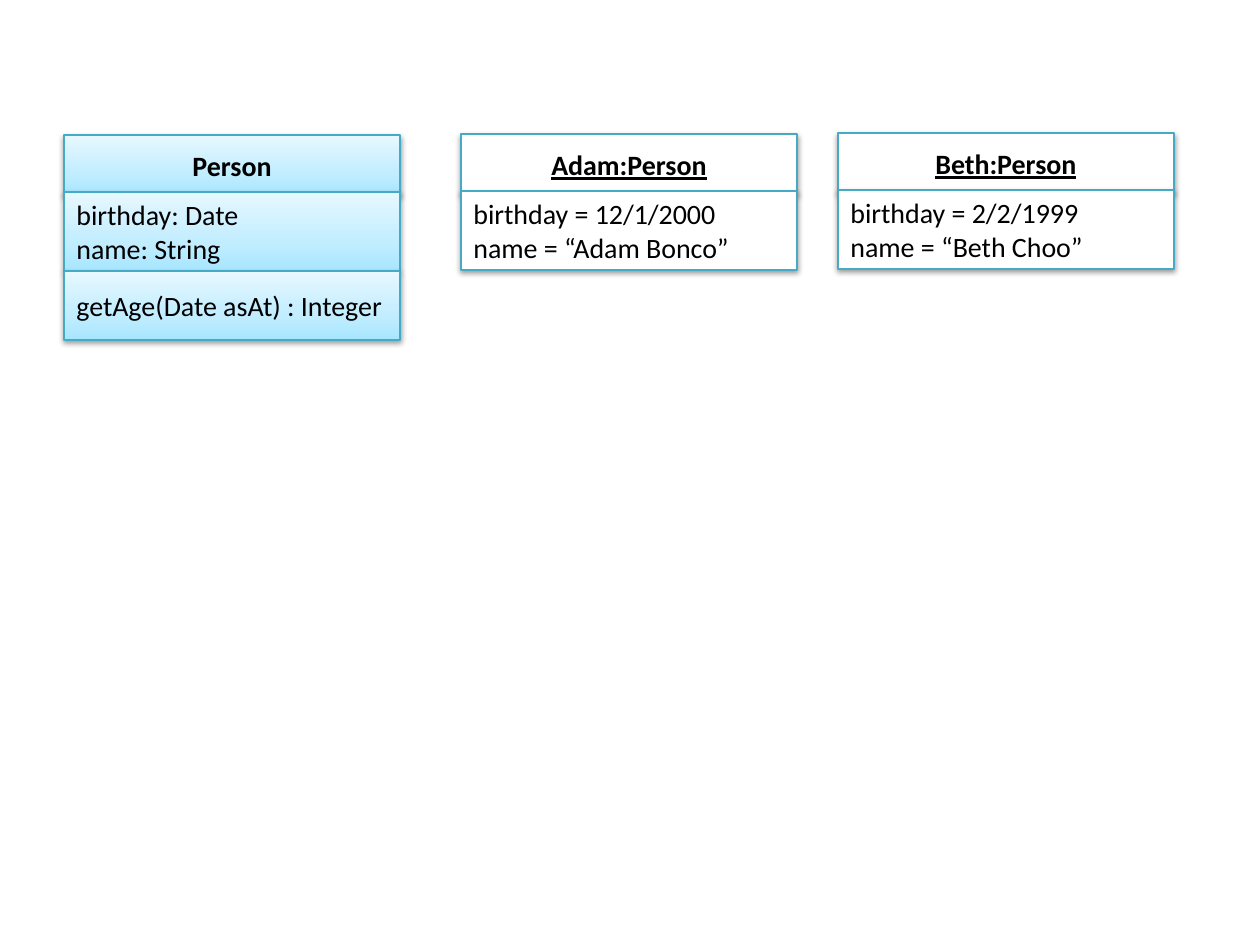
from dataclasses import dataclass
from lxml.etree import SubElement
from pptx import Presentation
from pptx.dml.color import RGBColor as RGB
from pptx.enum.shapes import MSO_SHAPE as SHAPE
from pptx.enum.text import MSO_ANCHOR as ANCHOR, PP_ALIGN as ALIGN
from pptx.oxml.ns import qn
from pptx.util import Emu, Pt


@dataclass(frozen=True)
class Theme:
    font: str = "Calibri"
    size: int = 16
    text: str = "000000"
    line: str = "46AAC5"
    plain: str = "FFFFFF"
    shadow: str = "000000"
    gradient: tuple = ((0, "A7E6FF"), (35, "C1EDFF"), (100, "E7F8FF"))


class Diagram:
    PX = 914400 / 126
    WIDTH = 336
    HEADER = (0, 60)
    ATTRIBUTES = (57, 79)
    OPERATIONS = (136, 69)

    def __init__(self, prs, theme):
        self.theme = theme
        prs.slide_width, prs.slide_height = self.px(1260), self.px(945)
        self.slide = prs.slides.add_slide(prs.slide_layouts[6])

    def px(self, n):
        return Emu(round(n * self.PX))

    def gradient(self, sp):
        sp.fill.gradient()
        sp.fill.gradient_angle = 90
        stops = sp._element.spPr.find(qn("a:gradFill")).find(qn("a:gsLst"))
        for stop in list(stops):
            stops.remove(stop)
        for pos, color in self.theme.gradient:
            stop = SubElement(stops, qn("a:gs"), pos=str(pos * 1000))
            SubElement(stop, qn("a:srgbClr"), val=color)

    def shadow(self, sp):
        sp.shadow.inherit = False
        effects = sp._element.spPr.find(qn("a:effectLst"))
        outer = SubElement(effects, qn("a:outerShdw"), blurRad="40000",
                           dist="20000", dir="5400000", rotWithShape="0")
        color = SubElement(outer, qn("a:srgbClr"), val=self.theme.shadow)
        SubElement(color, qn("a:alpha"), val="38000")

    def compartment(self, x, y, part, lines, shaded, header=False, underline=False):
        offset, height = part
        box = map(self.px, (x, y + offset, self.WIDTH, height))
        sp = self.slide.shapes.add_shape(SHAPE.RECTANGLE, *box)
        if shaded:
            self.gradient(sp)
        else:
            sp.fill.solid()
            sp.fill.fore_color.rgb = RGB.from_string(self.theme.plain)
        sp.line.color.rgb = RGB.from_string(self.theme.line)
        sp.line.width = Pt(0.75)
        self.shadow(sp)
        tf = sp.text_frame
        tf.word_wrap = False
        tf.vertical_anchor = ANCHOR.MIDDLE
        tf.text = "\n".join(lines)
        for p in tf.paragraphs:
            p.alignment = ALIGN.CENTER if header else ALIGN.LEFT
            for r in p.runs:
                r.font.name = self.theme.font
                r.font.size = Pt(self.theme.size)
                r.font.color.rgb = RGB.from_string(self.theme.text)
                r.font.bold = header
                r.font.underline = underline

    def uml_box(self, x, y, name, attributes, operations=(), is_class=False):
        self.compartment(x, y, self.HEADER, [name], is_class,
                         header=True, underline=not is_class)
        self.compartment(x, y, self.ATTRIBUTES, attributes, is_class)
        if operations:
            self.compartment(x, y, self.OPERATIONS, operations, is_class)


def main():
    prs = Presentation()
    diagram = Diagram(prs, Theme())
    diagram.uml_box(64, 135, "Person", ["birthday: Date", "name: String"],
                    ["getAge(Date asAt) : Integer"], is_class=True)
    diagram.uml_box(461, 134, "Adam:Person",
                    ["birthday = 12/1/2000", "name = “Adam Bonco”"])
    diagram.uml_box(838, 133, "Beth:Person",
                    ["birthday = 2/2/1999", "name = “Beth Choo”"])
    prs.save("out.pptx")


if __name__ == "__main__":
    main()
